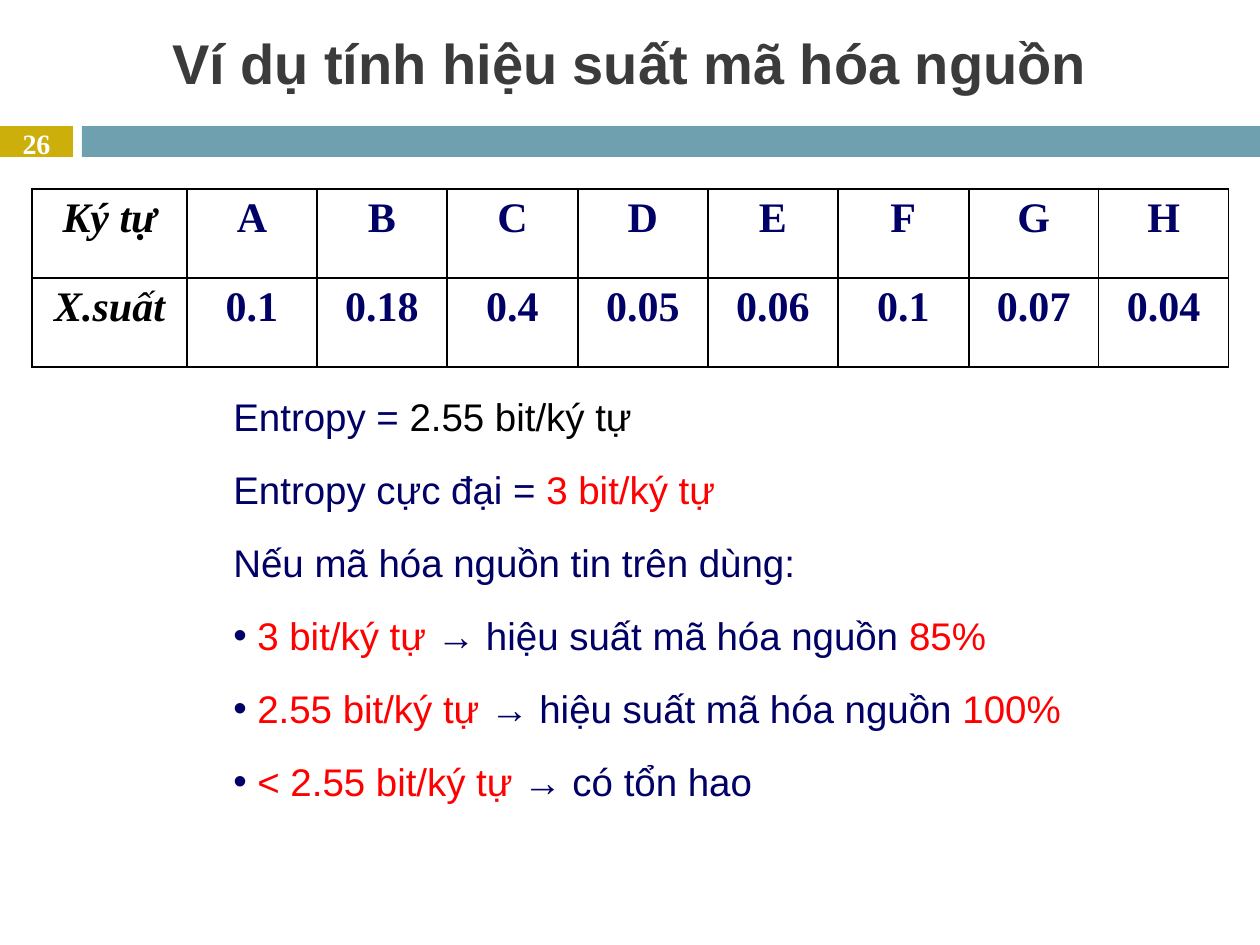
from dataclasses import dataclass

from lxml.etree import SubElement
from pptx import Presentation
from pptx.dml.color import RGBColor
from pptx.enum.shapes import MSO_SHAPE as Shape
from pptx.enum.text import MSO_ANCHOR as Anchor, PP_ALIGN as Align
from pptx.oxml.ns import qn
from pptx.util import Emu, Pt

PX_PER_INCH = 126


@dataclass(frozen=True)
class Theme:
    sans: str = "Arial"
    serif: str = "Times New Roman"
    title: str = "3B3B3B"
    gold: str = "CCAF0A"
    teal: str = "6EA0B0"
    navy: str = "000066"
    red: str = "FF0000"
    black: str = "000000"
    white: str = "FFFFFF"
    title_size: int = 32
    table_size: int = 24
    body_size: int = 22
    number_size: int = 16
    body_gap: int = 10


THEME = Theme()


@dataclass(frozen=True)
class Box:
    left: int
    top: int
    width: int
    height: int

    def emu(self) -> tuple:
        return tuple(px(v) for v in (self.left, self.top, self.width, self.height))


@dataclass(frozen=True)
class Line:
    runs: tuple  # (text, colour) pairs
    bullet: bool = False


def px(value: int) -> Emu:
    return Emu(round(value * 914400 / PX_PER_INCH))


def style_font(font, name: str, size: int, color: str = "", bold=False, italic=False) -> None:
    font.name, font.size, font.bold, font.italic = name, Pt(size), bold, italic
    if color:
        font.color.rgb = RGBColor.from_string(color)


def add_bar(slide, box: Box, color: str) -> None:
    bar = slide.shapes.add_shape(Shape.RECTANGLE, *box.emu())
    bar.shadow.inherit = False
    bar.fill.solid()
    bar.fill.fore_color.rgb = RGBColor.from_string(color)
    bar.line.fill.background()


def add_text_frame(slide, box: Box, anchor=Anchor.TOP):
    frame = slide.shapes.add_textbox(*box.emu()).text_frame
    frame.word_wrap = True
    frame.vertical_anchor = anchor
    return frame


def add_label(slide, box: Box, text: str, font: str, size: int, color: str) -> None:
    paragraph = add_text_frame(slide, box, Anchor.MIDDLE).paragraphs[0]
    paragraph.text = text
    paragraph.alignment = Align.CENTER
    style_font(paragraph.font, font, size, color, bold=True)


def add_borders(cell, color: str) -> None:
    properties = cell._tc.get_or_add_tcPr()
    for side in ("a:lnL", "a:lnR", "a:lnT", "a:lnB"):
        border = SubElement(properties, qn(side), w=str(Pt(1)))
        fill = SubElement(border, qn("a:solidFill"))
        SubElement(fill, qn("a:srgbClr"), val=color)


def add_probability_table(slide, box: Box, rows: tuple, head_width: int) -> None:
    column_count = len(rows[0])
    table = slide.shapes.add_table(len(rows), column_count, *box.emu()).table
    table.first_row = table.horz_banding = False

    # The symbol columns share what the heading column leaves
    step = (box.width - head_width) / (column_count - 1)
    edges = [0] + [head_width + round(i * step) for i in range(column_count)]
    for column, start, end in zip(table.columns, edges, edges[1:]):
        column.width = px(end - start)

    for r, values in enumerate(rows):
        table.rows[r].height = px(box.height // len(rows))
        for c, value in enumerate(values):
            cell = table.cell(r, c)
            add_borders(cell, THEME.black)
            cell.fill.background()
            cell.margin_left = cell.margin_right = px(14)
            cell.margin_top = cell.margin_bottom = px(6)
            paragraph = cell.text_frame.paragraphs[0]
            paragraph.text = value
            paragraph.alignment = Align.CENTER
            heading = c == 0
            style_font(paragraph.font, THEME.serif, THEME.table_size,
                       THEME.black if heading else THEME.navy, bold=True, italic=heading)


def add_bullet(paragraph, indent: int, color: str) -> None:
    properties = paragraph._p.get_or_add_pPr()
    properties.set("marL", str(px(indent)))
    properties.set("indent", str(-px(indent)))
    bullet_color = SubElement(properties, qn("a:buClr"))
    SubElement(bullet_color, qn("a:srgbClr"), val=color)
    SubElement(properties, qn("a:buFont"), typeface=THEME.sans)
    SubElement(properties, qn("a:buChar"), char="•")


def add_body(slide, box: Box, lines: tuple) -> None:
    frame = add_text_frame(slide, box)
    for i, line in enumerate(lines):
        paragraph = frame.add_paragraph() if i else frame.paragraphs[0]
        paragraph.line_spacing = 1.2
        if i:
            paragraph.space_before = Pt(THEME.body_gap)
        if line.bullet:
            add_bullet(paragraph, 24, THEME.navy)
        style_font(paragraph.font, THEME.sans, THEME.body_size)
        for text, color in line.runs:
            run = paragraph.add_run()
            run.text = text
            run.font.color.rgb = RGBColor.from_string(color)


PROBABILITIES = (
    ("Ký tự", "A", "B", "C", "D", "E", "F", "G", "H"),
    ("X.suất", "0.1", "0.18", "0.4", "0.05", "0.06", "0.1", "0.07", "0.04"),
)

EFFICIENCY = "→ hiệu suất mã hóa nguồn "
BODY = (
    Line((("Entropy = ", THEME.navy), ("2.55 bit/ký tự", THEME.black))),
    Line((("Entropy cực đại = ", THEME.navy), ("3 bit/ký tự", THEME.red))),
    Line((("Nếu mã hóa nguồn tin trên dùng:", THEME.navy),)),
    Line((("3 bit/ký tự ", THEME.red), (EFFICIENCY, THEME.navy), ("85%", THEME.red)), True),
    Line((("2.55 bit/ký tự ", THEME.red), (EFFICIENCY, THEME.navy), ("100%", THEME.red)), True),
    Line((("< 2.55 bit/ký tự ", THEME.red), ("→ có tổn hao", THEME.navy)), True),
)


def main() -> None:
    presentation = Presentation()
    presentation.slide_width, presentation.slide_height = px(1260), px(945)
    slide = presentation.slides.add_slide(presentation.slide_layouts[6])

    # Header band and title
    add_bar(slide, Box(0, 126, 73, 31), THEME.gold)
    add_bar(slide, Box(82, 126, 1178, 31), THEME.teal)
    add_label(slide, Box(0, 10, 1260, 105), "Ví dụ tính hiệu suất mã hóa nguồn",
              THEME.sans, THEME.title_size, THEME.title)

    # Symbol probabilities
    add_probability_table(slide, Box(32, 189, 1197, 178), PROBABILITIES, head_width=155)

    # Entropy and coding efficiency
    add_body(slide, Box(221, 378, 903, 440), BODY)

    # Slide number
    add_label(slide, Box(0, 126, 73, 34), "26", THEME.serif, THEME.number_size, THEME.white)

    presentation.save("out.pptx")


if __name__ == "__main__":
    main()
